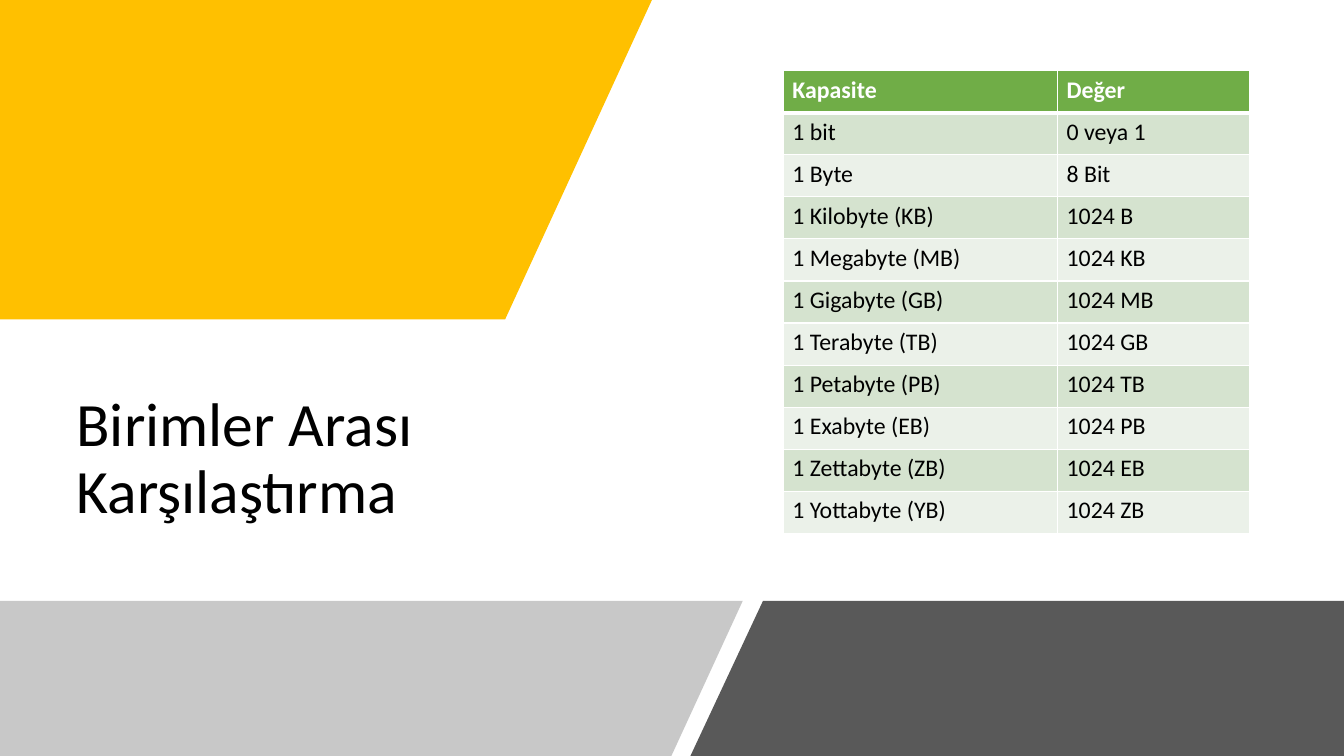
from dataclasses import dataclass

from lxml.etree import SubElement
from pptx import Presentation
from pptx.dml.color import RGBColor
from pptx.enum.text import MSO_ANCHOR
from pptx.oxml.ns import qn
from pptx.util import Cm, Pt

PAGE_WIDTH, PAGE_HEIGHT = 33.87, 19.05
BAND_TOP = 15.14


@dataclass(frozen=True)
class Theme:
    font: str = "Calibri"
    title_size: int = 44
    table_size: int = 17
    text: str = "000000"
    white: str = "FFFFFF"
    yellow: str = "FFC000"
    light_gray: str = "B2B2B2"
    dark_gray: str = "595959"
    header: str = "70AD47"
    odd_row: str = "D5E3CF"
    even_row: str = "EBF1E9"


class SlideBuilder:
    def __init__(self, page, theme):
        self.page = page
        self.theme = theme

    def style_text(self, paragraph, size, color, bold=False):
        for span in paragraph.runs:
            span.font.name = self.theme.font
            span.font.size = Pt(size)
            span.font.bold = bold
            span.font.color.rgb = RGBColor.from_string(color)

    def title(self, text, left, top, width, height):
        box = self.page.shapes.add_textbox(Cm(left), Cm(top), Cm(width), Cm(height))
        frame = box.text_frame
        frame.word_wrap = True
        frame.vertical_anchor = MSO_ANCHOR.MIDDLE
        frame.text = text
        paragraph = frame.paragraphs[0]
        paragraph.line_spacing = 0.9
        self.style_text(paragraph, self.theme.title_size, self.theme.text)

    def polygon(self, points, color, opacity=100):
        """Draw a closed, filled outline through points in centimetres."""
        start, *others = [(Cm(x), Cm(y)) for x, y in points]
        builder = self.page.shapes.build_freeform(*start)
        builder.add_line_segments(others, close=True)
        shape = builder.convert_to_shape()
        shape.shadow.inherit = False
        shape.line.fill.background()
        shape.fill.solid()
        shape.fill.fore_color.rgb = RGBColor.from_string(color)
        if opacity < 100:
            color_element = shape.fill._xPr.find(qn("a:solidFill"))[0]
            SubElement(color_element, qn("a:alpha"), val=str(opacity * 1000))

    def cell_borders(self, cell, top, bottom):
        """Add white edges; top and bottom are line widths in points."""
        properties = cell._tc.get_or_add_tcPr()
        for edge, width in (("L", 1), ("R", 1), ("T", top), ("B", bottom)):
            line = SubElement(properties, qn(f"a:ln{edge}"), w=str(Pt(width)))
            fill = SubElement(line, qn("a:solidFill"))
            SubElement(fill, qn("a:srgbClr"), val=self.theme.white)

    def table(self, rows, left, top, column_widths, row_height):
        theme = self.theme
        table = self.page.shapes.add_table(
            len(rows), len(column_widths), Cm(left), Cm(top),
            Cm(sum(column_widths)), Cm(row_height * len(rows)),
        ).table
        for column, width in zip(table.columns, column_widths):
            column.width = Cm(width)
        for row_index, values in enumerate(rows):
            table.rows[row_index].height = Cm(row_height)
            is_header = row_index == 0
            body_color = theme.odd_row if row_index % 2 else theme.even_row
            for column_index, value in enumerate(values):
                cell = table.cell(row_index, column_index)
                cell.text = value
                cell.margin_left = cell.margin_right = Cm(0.23)
                cell.margin_top = cell.margin_bottom = Cm(0.12)
                self.cell_borders(cell, 3 if row_index == 1 else 1, 3 if is_header else 1)
                cell.fill.solid()
                cell.fill.fore_color.rgb = RGBColor.from_string(
                    theme.header if is_header else body_color)
                self.style_text(cell.text_frame.paragraphs[0], theme.table_size,
                                theme.white if is_header else theme.text, is_header)


def main():
    deck = Presentation()
    deck.slide_width, deck.slide_height = Cm(PAGE_WIDTH), Cm(PAGE_HEIGHT)
    theme = Theme()
    slide = SlideBuilder(deck.slides.add_slide(deck.slide_layouts[6]), theme)

    slide.title("Birimler Arası Karşılaştırma", 1.68, 8.94, 15.75, 5.31)
    slide.polygon([(0, 0), (16.43, 0), (12.73, 8.05), (0, 8.05)], theme.yellow)
    slide.polygon([(0, BAND_TOP), (18.72, BAND_TOP), (16.92, PAGE_HEIGHT),
                   (0, PAGE_HEIGHT)], theme.light_gray, opacity=70)
    slide.polygon([(19.23, BAND_TOP), (PAGE_WIDTH, BAND_TOP),
                   (PAGE_WIDTH, PAGE_HEIGHT), (17.4, PAGE_HEIGHT)], theme.dark_gray)

    rows = [("Kapasite", "Değer"), ("1 bit", "0 veya 1"), ("1 Byte", "8 Bit")]
    smaller = "B"
    for prefix in ("Kilo", "Mega", "Giga", "Tera", "Peta", "Exa", "Zetta", "Yotta"):
        symbol = f"{prefix[0]}B"
        rows.append((f"1 {prefix}byte ({symbol})", f"1024 {smaller}"))
        smaller = symbol
    slide.table(rows, 19.74, 1.78, (6.91, 4.85), 1.06)

    deck.save("out.pptx")


if __name__ == "__main__":
    main()
